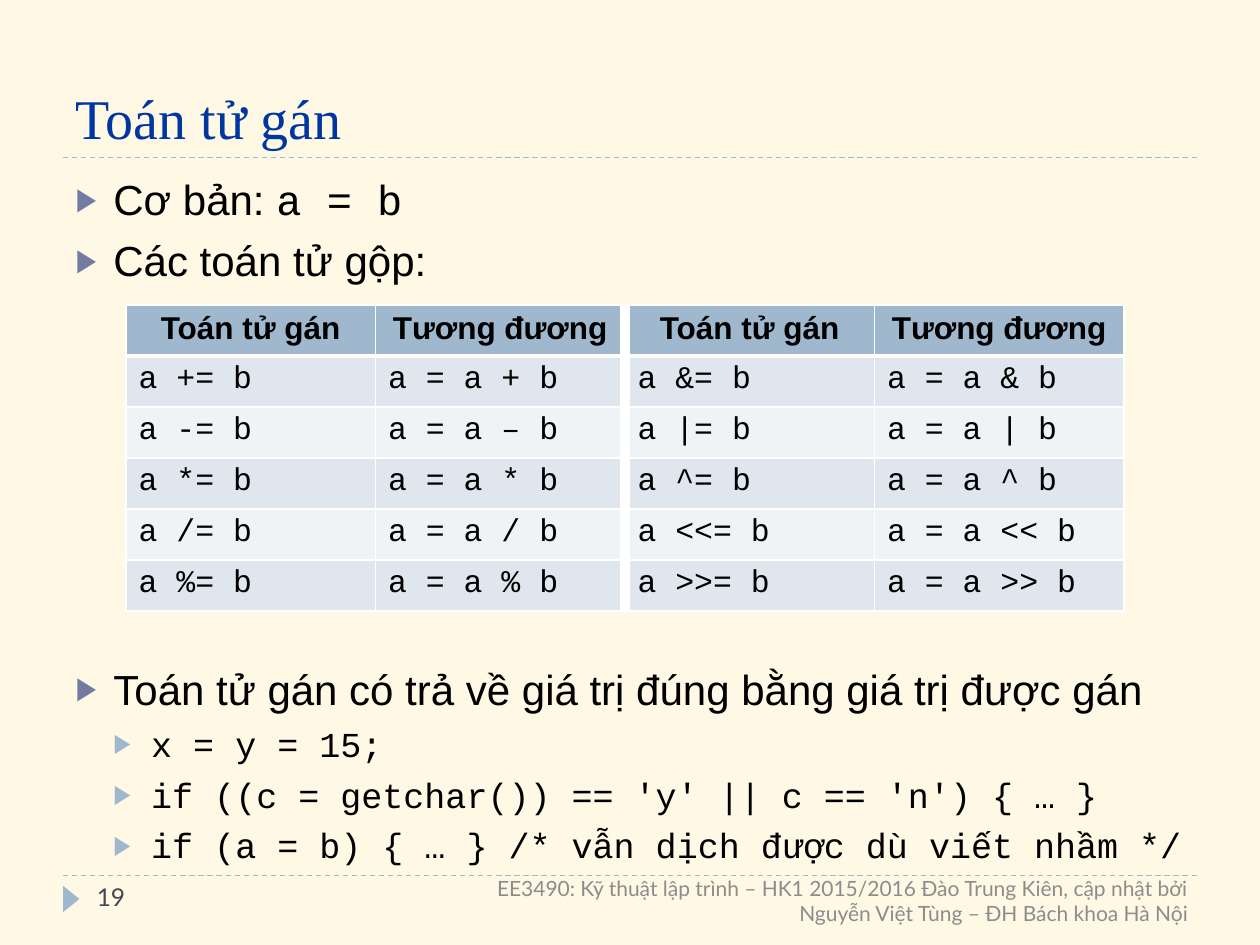
import pptx
import pptx.util
import pptx.dml.color
import pptx.enum.dml
import pptx.enum.shapes
import pptx.enum.text
import pptx.oxml.ns
from lxml import etree

Inches, Pt = pptx.util.Inches, pptx.util.Pt
RGBColor = pptx.dml.color.RGBColor
ALIGN, ANCHOR = pptx.enum.text.PP_ALIGN, pptx.enum.text.MSO_ANCHOR
CREAM = RGBColor(0xFE, 0xF8, 0xE4)
BLUE = RGBColor(0x00, 0x36, 0xA2)
STEEL = RGBColor(0x9F, 0xB8, 0xCD)
INDIGO = RGBColor(0x72, 0x7C, 0xA3)
SLATE = RGBColor(0x46, 0x46, 0x53)
GRAY = RGBColor(0x8C, 0x8C, 0x8C)
BLACK = RGBColor(0, 0, 0)
BANDS = RGBColor(0xF0, 0xF3, 0xF6), RGBColor(0xDF, 0xE6, 0xED)
SANS, CODE, SERIF, SMALL = "Arial", "Courier New", "Times New Roman", "Lato"

TITLE = "Toán tử gán"
BULLETS = [
    (0, 6, [("Cơ bản: ", SANS), ("a = b", CODE)]),
    (0, 6, [("Các toán tử gộp:", SANS)]),
    (0, 216, [("Toán tử gán có trả về giá trị đúng bằng giá trị được gán", SANS)]),
    (1, 5, [("x = y = 15;", CODE)]),
    (1, 5, [("if ((c = getchar()) == 'y' || c == 'n') { … }", CODE)]),
    (1, 5, [("if (a = b) { … } /* vẫn dịch được dù viết nhầm */", CODE)]),
]
LEVELS = [(24, INDIGO), (20, STEEL)]
OPERATORS = [
    ("Toán tử gán", "Tương đương") * 2,
    ("a += b", "a = a + b", "a &= b", "a = a & b"),
    ("a -= b", "a = a – b", "a |= b", "a = a | b"),
    ("a *= b", "a = a * b", "a ^= b", "a = a ^ b"),
    ("a /= b", "a = a / b", "a <<= b", "a = a << b"),
    ("a %= b", "a = a % b", "a >>= b", "a = a >> b"),
]
NUMBER = "19"
FOOTER = ("EE3490: Kỹ thuật lập trình – HK1 2015/2016 Đào Trung Kiên, "
          "cập nhật bởi Nguyễn Việt Tùng – ĐH Bách khoa Hà Nội")


def add_xml(parent, tag, **attributes):
    return etree.SubElement(parent, pptx.oxml.ns.qn(tag), attributes)


def place(shape, left, top, width, height):
    shape.left, shape.top = Inches(left), Inches(top)
    shape.width, shape.height = Inches(width), Inches(height)


def set_font(font, size, name, color, bold=False):
    font.size, font.name, font.bold = Pt(size), name, bold
    font.color.rgb = color


def set_bullet(paragraph, level, color):
    properties = paragraph._p.get_or_add_pPr()
    properties.set("marL", str(Inches(0.3 * (level + 1))))
    properties.set("indent", str(-Inches(0.3)))
    add_xml(add_xml(properties, "a:buClr"), "a:srgbClr", val=str(color))
    add_xml(properties, "a:buSzPct", val="76000")
    add_xml(properties, "a:buFont", typeface=SANS)
    add_xml(properties, "a:buChar", char="▶")


def set_borders(cell, **widths):
    properties = cell._tc.get_or_add_tcPr()
    for position, side in enumerate("LRTB"):
        line = etree.Element(pptx.oxml.ns.qn("a:ln" + side), w=str(Pt(widths.get(side, 1))))
        add_xml(add_xml(line, "a:solidFill"), "a:srgbClr", val="FFFFFF")
        properties.insert(position, line)


def add_label(slide, text, box, size, color, align, anchor):
    label = slide.shapes.add_textbox(*map(Inches, box))
    frame = label.text_frame
    frame.word_wrap, frame.vertical_anchor = True, anchor
    paragraph = frame.paragraphs[0]
    paragraph.text, paragraph.alignment = text, align
    set_font(paragraph.font, size, SMALL, color)


presentation = pptx.Presentation()
presentation.slide_width, presentation.slide_height = Inches(10), Inches(7.5)
slide = presentation.slides.add_slide(presentation.slide_layouts[1])
slide.background.fill.solid()
slide.background.fill.fore_color.rgb = CREAM

for height in (6.95, 1.25):
    rule = slide.shapes.add_connector(
        pptx.enum.shapes.MSO_CONNECTOR.STRAIGHT,
        Inches(0.5), Inches(height), Inches(9.5), Inches(height))
    rule.line.color.rgb, rule.line.width = STEEL, Pt(0.75)
    rule.line.dash_style = pptx.enum.dml.MSO_LINE.DASH
    add_xml(rule._element.spPr, "a:effectLst")

marker = slide.shapes.add_shape(
    pptx.enum.shapes.MSO_SHAPE.ISOSCELES_TRIANGLE,
    Inches(0.46), Inches(7.07), Inches(0.21), Inches(0.13))
marker.rotation = 90
marker.shadow.inherit = False
marker.fill.solid()
marker.fill.fore_color.rgb = STEEL
marker.line.fill.background()

title = slide.shapes.title
place(title, 0.5, 0.17, 9, 1.08)
title.text_frame.text = TITLE
title.text_frame.vertical_anchor = ANCHOR.BOTTOM
heading = title.text_frame.paragraphs[0]
heading.alignment = ALIGN.LEFT
set_font(heading.font, 32, SERIF, BLUE)

body = slide.placeholders[1]
place(body, 0.5, 1.33, 9, 5.4)
frame = body.text_frame
frame.auto_size = pptx.enum.text.MSO_AUTO_SIZE.NONE
for index, (level, gap, pieces) in enumerate(BULLETS):
    paragraph = frame.add_paragraph() if index else frame.paragraphs[0]
    size, color = LEVELS[level]
    paragraph.level, paragraph.space_before = level, Pt(gap)
    set_bullet(paragraph, level, color)
    set_font(paragraph.font, size, pieces[0][1], BLACK)
    for text, name in pieces:
        run = paragraph.add_run()
        run.text = text
        set_font(run.font, size, name, BLACK)

table = slide.shapes.add_table(
    len(OPERATORS), len(OPERATORS[0]),
    Inches(1), Inches(2.42), Inches(7.92), Inches(2.43)).table
for row, texts in enumerate(OPERATORS):
    header = row == 0
    for column, text in enumerate(texts):
        cell = table.cell(row, column)
        cell.text = text
        cell.fill.solid()
        cell.fill.fore_color.rgb = STEEL if header else BANDS[row % 2]
        set_borders(cell, R=6 if column == 1 else 1, L=6 if column == 2 else 1,
                    B=3 if header else 1, T=3 if row == 1 else 1)
        paragraph = cell.text_frame.paragraphs[0]
        paragraph.alignment = ALIGN.CENTER if header else ALIGN.LEFT
        set_font(paragraph.font, 18, SANS if header else CODE, BLACK, header)

add_label(slide, NUMBER, (0.67, 6.95, 2.17, 0.4), 14, SLATE, ALIGN.LEFT, ANCHOR.TOP)
add_label(slide, FOOTER, (3.42, 6.95, 6.11, 0.4), 12, GRAY, ALIGN.RIGHT, ANCHOR.MIDDLE)
presentation.save("out.pptx")
